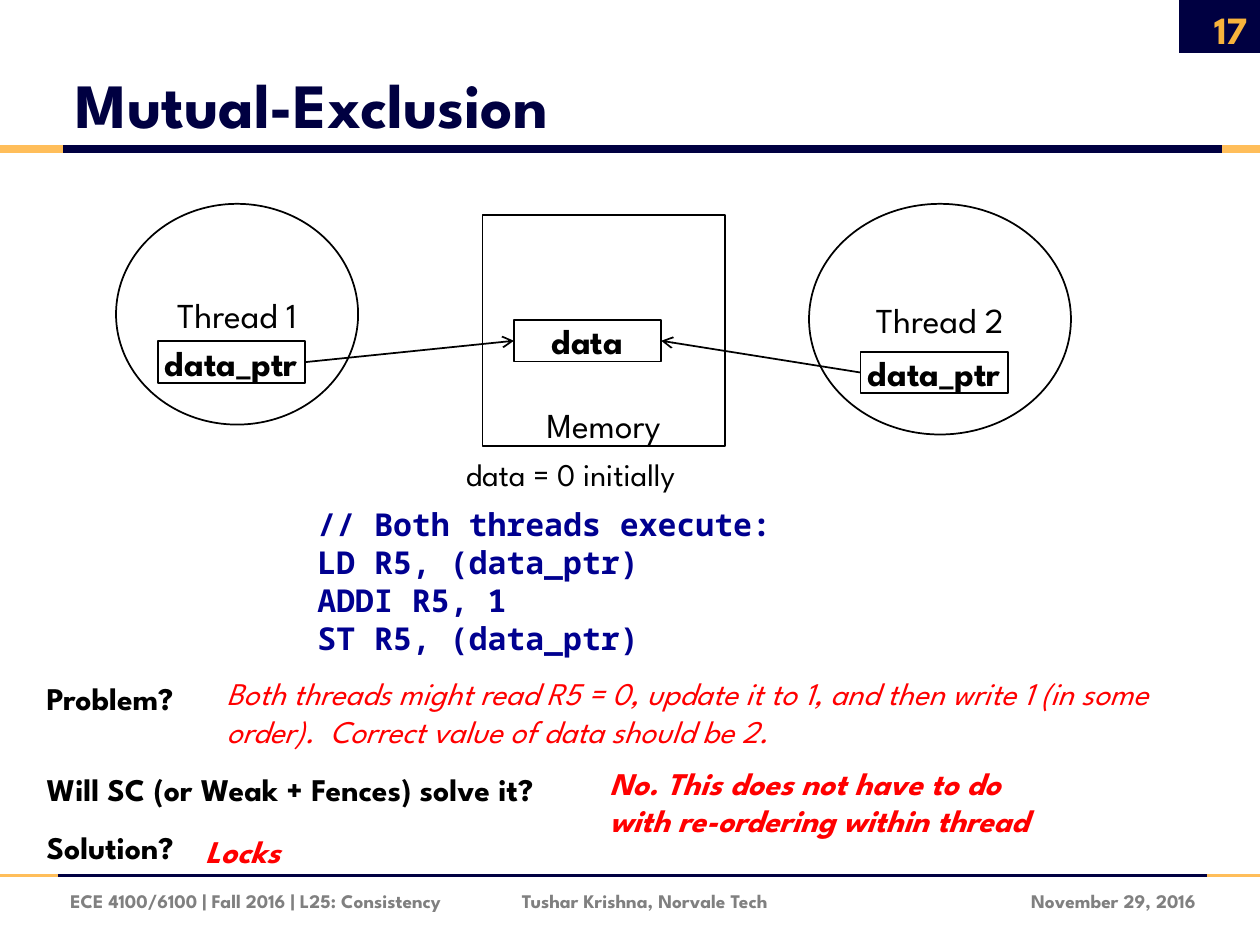
from dataclasses import dataclass

from lxml.etree import SubElement
from pptx import Presentation
from pptx.dml.color import RGBColor
from pptx.enum.shapes import MSO_CONNECTOR, MSO_SHAPE
from pptx.enum.text import MSO_ANCHOR as Anchor, PP_ALIGN as Align
from pptx.oxml.ns import qn
from pptx.util import Cm, Pt


@dataclass(frozen=True)
class Theme:
    navy: str = "000041"
    gold: str = "FFBE5A"
    number: str = "F8B33C"
    grey: str = "808080"
    ink: str = "000000"
    paper: str = "FFFFFF"
    code: str = "000090"
    answer: str = "FF0000"
    font: str = "League Spartan"
    mono: str = "Noto Sans Mono"
    title_size: int = 36
    number_size: int = 22
    node_size: int = 20
    body_size: int = 18
    footer_size: int = 11


THEME = Theme()


@dataclass(frozen=True)
class Style:
    size: int
    color: str = THEME.ink
    bold: bool = False
    italic: bool = False
    font: str = THEME.font


@dataclass(frozen=True)
class Box:
    left: float
    top: float
    width: float
    height: float

    @property
    def lengths(self) -> tuple:
        return Cm(self.left), Cm(self.top), Cm(self.width), Cm(self.height)

    @property
    def left_mid(self) -> tuple[float, float]:
        return self.left, self.top + self.height / 2

    @property
    def right_mid(self) -> tuple[float, float]:
        return self.left + self.width, self.top + self.height / 2


@dataclass(frozen=True)
class Node:
    text: str
    box: Box
    kind: MSO_SHAPE = MSO_SHAPE.RECTANGLE
    bold: bool = False
    anchor: Anchor = Anchor.MIDDLE


@dataclass(frozen=True)
class Label:
    text: str
    box: Box
    style: Style
    anchor: Anchor = Anchor.TOP
    align: Align = Align.LEFT


def write(frame, text: str, style: Style, align: Align, anchor: Anchor) -> None:
    frame.word_wrap = True
    frame.vertical_anchor = anchor
    for index, line in enumerate(text.split("\n")):
        paragraph = frame.add_paragraph() if index else frame.paragraphs[0]
        paragraph.alignment = align
        run = paragraph.add_run()
        run.text = line
        font = run.font
        font.name, font.size = style.font, Pt(style.size)
        font.bold, font.italic = style.bold, style.italic
        font.color.rgb = RGBColor.from_string(style.color)


def add_label(slide, label: Label) -> None:
    frame = slide.shapes.add_textbox(*label.box.lengths).text_frame
    write(frame, label.text, label.style, label.align, label.anchor)


def add_filled(slide, kind: MSO_SHAPE, box: Box, fill: str):
    shape = slide.shapes.add_shape(kind, *box.lengths)
    shape.shadow.inherit = False
    shape.fill.solid()
    shape.fill.fore_color.rgb = RGBColor.from_string(fill)
    shape.line.fill.background()
    return shape


def add_node(slide, node: Node) -> None:
    shape = add_filled(slide, node.kind, node.box, THEME.paper)
    shape.line.color.rgb = RGBColor.from_string(THEME.ink)
    shape.line.width = Pt(1)
    frame = shape.text_frame
    frame.margin_left = frame.margin_right = frame.margin_top = frame.margin_bottom = 0
    write(frame, node.text, Style(THEME.node_size, bold=node.bold), Align.CENTER, node.anchor)


def add_line(slide, start: tuple[float, float], end: tuple[float, float],
             color: str, width: float, arrow: bool = False) -> None:
    line = slide.shapes.add_connector(
        MSO_CONNECTOR.STRAIGHT, *(Cm(value) for value in (*start, *end)))
    line.line.color.rgb = RGBColor.from_string(color)
    line.line.width = Pt(width)
    if arrow:
        SubElement(line.line._get_or_add_ln(), qn("a:tailEnd"), type="arrow")
    SubElement(line._element.spPr, qn("a:effectLst"))


PAGE_WIDTH, PAGE_HEIGHT = 25.4, 19.05
FOOTER_TOP = 17.65

deck = Presentation()
deck.slide_width, deck.slide_height = Cm(PAGE_WIDTH), Cm(PAGE_HEIGHT)
slide = deck.slides.add_slide(deck.slide_layouts[5])

# Title
title = slide.shapes.title
title.left, title.top, title.width, title.height = Box(1.27, 0.43, 20.78, 2.54).lengths
write(title.text_frame, "Mutual-Exclusion",
      Style(THEME.title_size, THEME.navy, bold=True), Align.LEFT, Anchor.BOTTOM)

# Page number corner and the gold-navy-gold rules
add_filled(slide, MSO_SHAPE.RECTANGLE, Box(23.77, 0, 1.63, 1.07), THEME.navy)
for rule_y, navy_start, navy_end, weight in (
        (3, 1.27, 24.64, 4.5), (FOOTER_TOP, 1.17, 24.33, 2.25)):
    for start_x, end_x, color in (
            (0, navy_start, THEME.gold),
            (navy_start, navy_end, THEME.navy),
            (navy_end, PAGE_WIDTH, THEME.gold)):
        add_line(slide, (start_x, rule_y), (end_x, rule_y), color, weight)

# Threads sharing one memory location
data = Box(10.36, 6.45, 2.97, 0.84)
pointer_1 = Box(3.18, 6.88, 2.97, 0.84)
pointer_2 = Box(17.35, 7.09, 2.97, 0.84)
for node in (
        Node("Memory", Box(9.73, 4.34, 4.88, 4.65), anchor=Anchor.BOTTOM),
        Node("Thread 1", Box(2.34, 4.11, 4.88, 4.45), MSO_SHAPE.OVAL),
        Node("Thread 2", Box(16.31, 4.11, 5.28, 4.65), MSO_SHAPE.OVAL),
        Node("data", data, bold=True),
        Node("data_ptr", pointer_1, bold=True),
        Node("data_ptr", pointer_2, bold=True)):
    add_node(slide, node)
add_line(slide, pointer_1.right_mid, data.left_mid, THEME.ink, 1, arrow=True)
add_line(slide, pointer_2.left_mid, data.right_mid, THEME.ink, 1, arrow=True)

# Code, questions and answers, footer
plain = Style(THEME.body_size)
question = Style(THEME.body_size, bold=True)
remark = Style(THEME.body_size, THEME.answer, italic=True)
answer = Style(THEME.body_size, THEME.answer, bold=True, italic=True)
code = Style(THEME.body_size, THEME.code, bold=True, font=THEME.mono)
footer = Style(THEME.footer_size, THEME.grey, bold=True)
page_number = Style(THEME.number_size, THEME.number, bold=True)
for label in (
        Label("data = 0 initially", Box(9.14, 9.04, 6.96, 1.02), plain),
        Label("// Both threads execute:\nLD R5, (data_ptr)\nADDI R5, 1\nST R5, (data_ptr)",
              Box(6.15, 10.06, 10.29, 3.33), code),
        Label("Problem?", Box(0.69, 13.56, 6.5, 1.02), question),
        Label("Both threads might read R5 = 0, update it to 1, and then write 1 "
              "(in some order).  Correct value of data should be 2.",
              Box(4.32, 13.46, 20.02, 1.8), remark),
        Label("Will SC (or Weak + Fences) solve it?", Box(0.69, 15.39, 15.42, 1.02), question),
        Label("No. This does not have to do with re-ordering within thread",
              Box(12.04, 15.27, 9.55, 1.8), answer),
        Label("Solution?", Box(0.69, 16.56, 6.5, 1.02), question),
        Label("Locks", Box(3.89, 16.64, 3.3, 1.02), answer),
        Label("ECE 4100/6100 | Fall 2016 | L25: Consistency",
              Box(1.17, FOOTER_TOP, 9, 1.02), footer, Anchor.MIDDLE),
        Label("Tushar Krishna, Norvale Tech",
              Box(10.27, FOOTER_TOP, 8, 1.02), footer, Anchor.MIDDLE),
        Label("November 29, 2016",
              Box(19.48, FOOTER_TOP, 4.88, 1.02), footer, Anchor.MIDDLE, Align.RIGHT),
        Label("17", Box(23.72, 0.08, 1.68, 1.02), page_number, Anchor.MIDDLE, Align.RIGHT)):
    add_label(slide, label)

deck.save("out.pptx")
